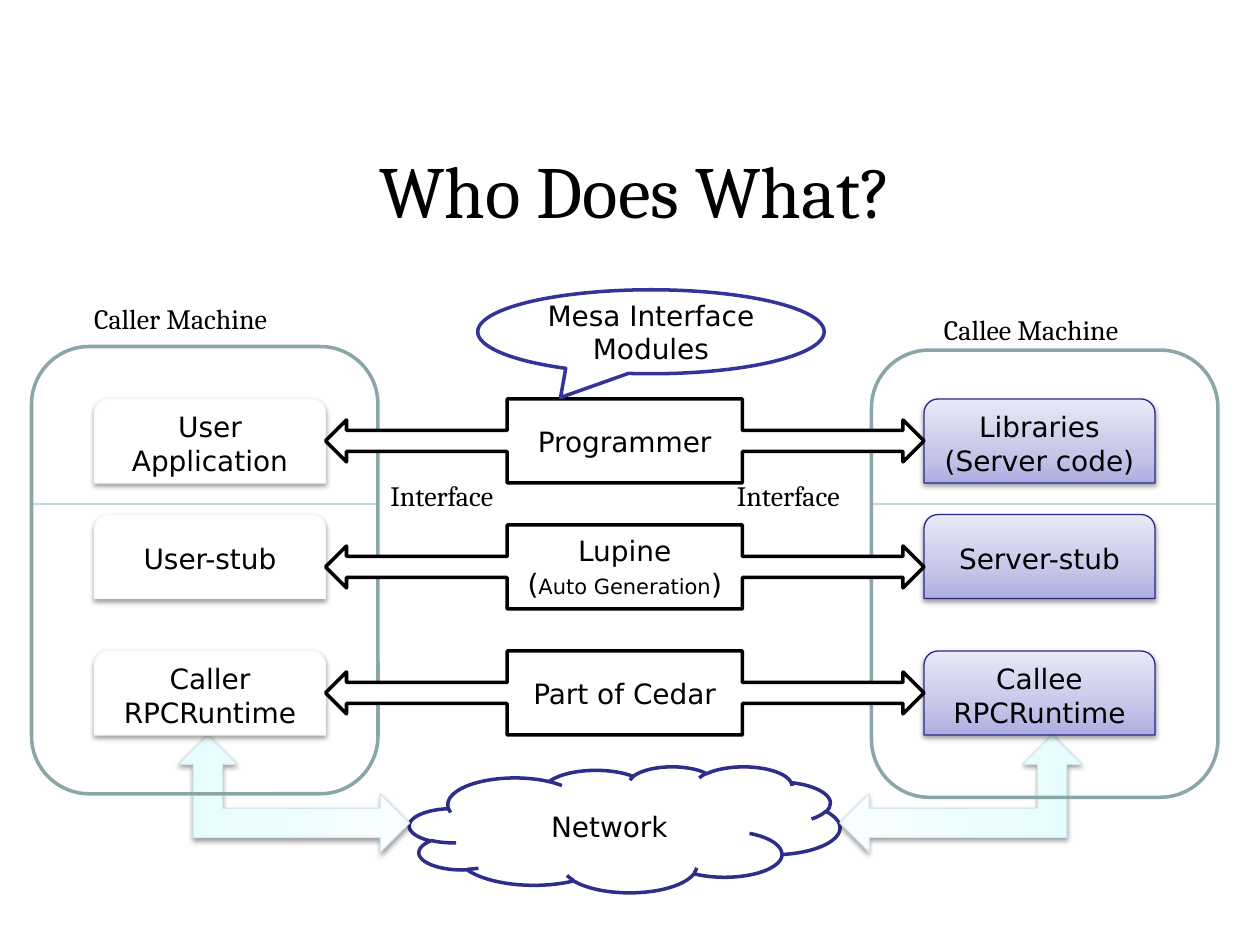
from copy import deepcopy

from lxml import etree
from pptx import Presentation
from pptx.dml.color import RGBColor
from pptx.enum.shapes import MSO_CONNECTOR, MSO_SHAPE
from pptx.enum.text import MSO_ANCHOR, MSO_AUTO_SIZE, PP_ALIGN
from pptx.oxml import parse_xml
from pptx.oxml.ns import nsdecls, qn
from pptx.util import Pt

TAB, CLOUD, ELBOW = MSO_SHAPE.ROUND_2_SAME_RECTANGLE, MSO_SHAPE.CLOUD, MSO_SHAPE.LEFT_UP_ARROW
FRAME, CALLOUT = MSO_SHAPE.ROUNDED_RECTANGLE, MSO_SHAPE.LEFT_RIGHT_ARROW_CALLOUT
BUBBLE = MSO_SHAPE.OVAL_CALLOUT
STRAIGHT = MSO_CONNECTOR.STRAIGHT
LEFT, CENTER = PP_ALIGN.LEFT, PP_ALIGN.CENTER
TOP, MIDDLE = MSO_ANCHOR.TOP, MSO_ANCHOR.MIDDLE
NO_FIT, GROW = MSO_AUTO_SIZE.NONE, MSO_AUTO_SIZE.SHAPE_TO_FIT_TEXT
SERIF, SANS = "Cambria", "DejaVu Sans"
BLUE_FADE = ("ADADE1", "C6C6E9", "E9E9F7")
AQUA_FADE = ("E6FDFF", "ECFDFF", "F8FEFF")
LAYERS = (228, 294, 372)
LAYER_H = 48


def rgb(color):
    """Turn a hex string into a colour."""
    return RGBColor.from_string(color)


def write(s, lines, font=SANS, size=16, align=CENTER, anchor=MIDDLE, fit=NO_FIT, spacing=None):
    """Fill a shape with lines, each a string or a list of (text, size) runs."""
    tf = s.text_frame
    tf.word_wrap = True
    tf.auto_size = fit
    tf.vertical_anchor = anchor
    for i, line in enumerate(lines):
        p = tf.add_paragraph() if i else tf.paragraphs[0]
        p.alignment = align
        p.line_spacing = spacing
        for text, run_size in [(line, size)] if isinstance(line, str) else line:
            r = p.add_run()
            r.text = text
            r.font.name = font
            r.font.size = Pt(run_size)
            r.font.color.rgb = rgb("000000")


def paint(fill, color):
    """Apply no fill, a solid colour or a three-stop upward fade."""
    if color is None:
        fill.background()
    elif isinstance(color, str):
        fill.solid()
        fill.fore_color.rgb = rgb(color)
    else:
        fill.gradient()
        fill.gradient_angle = 90
        last = fill.gradient_stops[1]._gs
        last.addnext(deepcopy(last))
        for stop, position, shade in zip(fill.gradient_stops, (0, 0.35, 1), color):
            stop.position = position
            stop.color.rgb = rgb(shade)


def add_shape(slide, kind, box, fill, line, width=2, shadow=False, adj=()):
    """Add a preset shape with its fill, outline and optional soft shadow."""
    s = slide.shapes.add_shape(kind, *map(Pt, box))
    for i, value in enumerate(adj):
        s.adjustments[i] = value
    paint(s.fill, fill)
    s.line.color.rgb = rgb(line)
    s.line.width = Pt(width)
    s.shadow.inherit = False
    if shadow:
        s._element.spPr.find(qn("a:effectLst")).append(parse_xml(
            f'<a:outerShdw {nsdecls("a")} blurRad="{Pt(3.1)}" dist="{Pt(1.6)}" dir="5400000" '
            'rotWithShape="0"><a:srgbClr val="000000"><a:alpha val="38000"/></a:srgbClr></a:outerShdw>'))
    return s


def add_label(slide, box, text, align=CENTER):
    """Add a plain serif label."""
    write(slide.shapes.add_textbox(*map(Pt, box)), [text], font=SERIF, align=align, anchor=TOP, fit=GROW)


def add_title(slide, box, text):
    """Place the slide title."""
    s = slide.shapes.title
    s.left, s.top, s.width, s.height = map(Pt, box)
    write(s, [text], font=SERIF, size=42, spacing=0.9)


def add_elbow(slide, box, mirrored=False):
    """Add a bent two-way arrow that covers the box after its quarter turn."""
    x, y, w, h = box
    s = add_shape(slide, ELBOW, (x + (w - h) / 2, y + (h - w) / 2, h, w),
                  AQUA_FADE, "D5E8EA", 0.75, shadow=True)
    s.rotation = 90
    if mirrored:
        s._element.spPr.find(qn("a:xfrm")).set("flipV", "1")


def add_network(slide, box):
    """Draw the network cloud and the arrows that join it to both machines."""
    x, y, w, h = box
    write(add_shape(slide, CLOUD, box, "FFFFFF", "2D2D8A"), ["Network"])
    add_elbow(slide, (x - 132, y - 18, 132, 67))
    add_elbow(slide, (x + w, y - 18, 138, 67), mirrored=True)


def add_machine(slide, box, name, name_at, layers, inset, fill, line):
    """Draw a machine frame with its name, divider and three software layers."""
    x, y, w, h = box
    for top, lines in zip(LAYERS, layers):
        write(add_shape(slide, TAB, (x + inset, top, 132, LAYER_H), fill, line, 0.75, shadow=True), lines)
    divider = slide.shapes.add_connector(STRAIGHT, Pt(x), Pt(288), Pt(x + w), Pt(288))
    divider.line.color.rgb = rgb("B6DCDF")
    divider.line.width = Pt(0.75)
    etree.SubElement(divider._element.spPr, qn("a:effectLst"))
    add_shape(slide, FRAME, box, None, "8AA6A8")
    add_label(slide, (*name_at, 186, 26.6), name)


def add_providers(slide, box, providers, gap):
    """Stack the two-way callouts that say who provides each layer."""
    x, y, w, h = box
    for i, lines in enumerate(providers):
        s = add_shape(slide, CALLOUT, (x, y + i * gap, w, h), "FFFFFF", "000000",
                      adj=(0.25, 0.25, 0.25, 0.393))
        write(s, lines)
    for left in (x + 30, x + 228):
        add_label(slide, (left, y + 42, 114, 26.6), "Interface", align=LEFT)
    bubble = add_shape(slide, BUBBLE, (x + 87, y - 62.4, 198, h), "FFFFFF", "333399", adj=(-0.261, 0.782))
    write(bubble, ["Mesa Interface Modules"])


def main():
    """Build the slide and save it."""
    prs = Presentation()
    prs.slide_width, prs.slide_height = Pt(720), Pt(540)
    slide = prs.slides.add_slide(prs.slide_layouts[5])
    add_title(slide, (36, 66, 654, 90), "Who Does What?")
    add_network(slide, (234, 438, 246, 72))
    add_machine(slide, (18, 198, 198, 255.6), "Caller Machine ", (12, 169),
                [["User Application"], ["User-stub"], ["Caller", "RPCRuntime"]], 36, "FFFFFF", "F9F9F9")
    add_machine(slide, (498, 200, 198, 255.6), "Callee Machine ", (498, 175),
                [["Libraries", "(Server code)"], ["Server-stub"], ["Callee", "RPCRuntime"]],
                30, BLUE_FADE, "2A2A89")
    add_providers(slide, (186, 228, 342, LAYER_H),
                  [["Programmer"],
                   ["Lupine", [("(", 16), ("Auto Generation", 12), (")", 16)]],
                   ["Part of Cedar"]], 72)
    prs.save("out.pptx")


if __name__ == "__main__":
    main()
